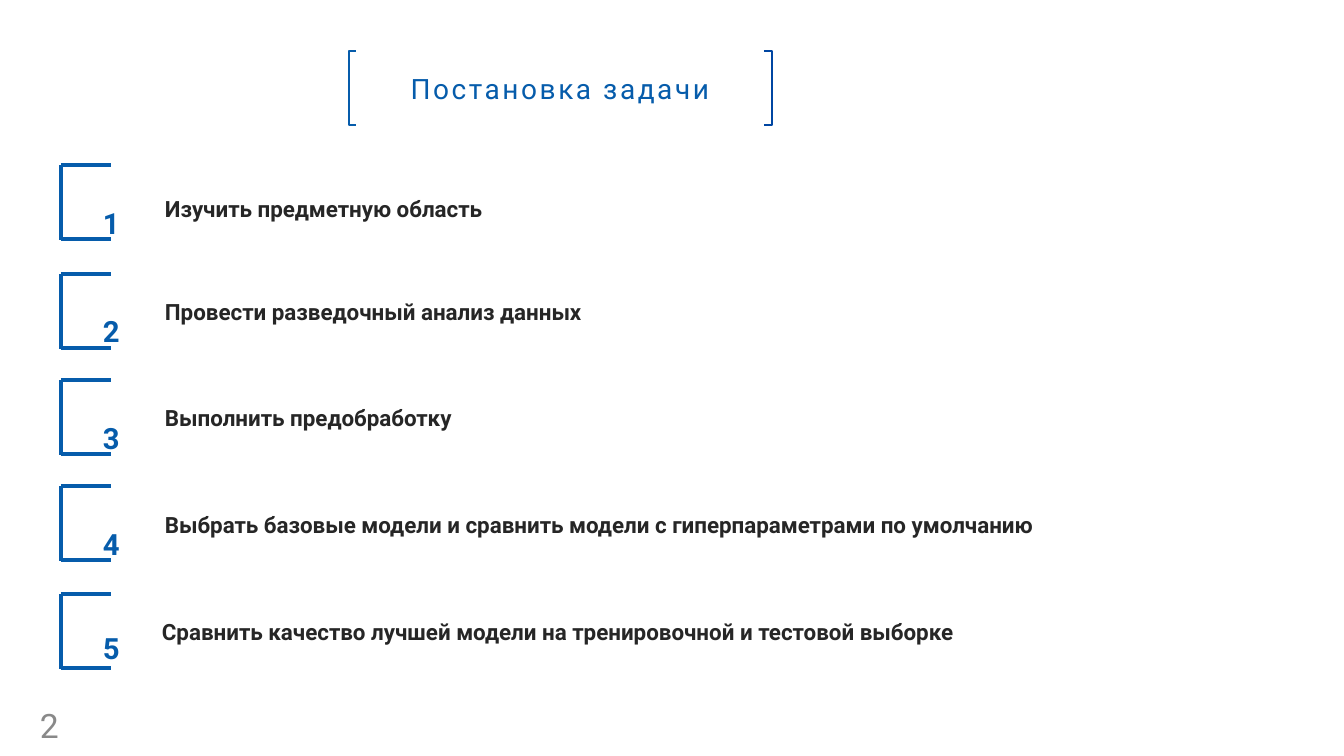
import pptx
import pptx.util
import pptx.dml.color
import pptx.enum.shapes
import pptx.enum.text
import pptx.oxml.ns
import lxml.etree

PX = 914400 / 100.8
BLUE, DARK_BLUE, INK, GREY, WHITE = "065CAB", "0046A2", "262626", "898989", "FFFFFF"
ANCHOR = pptx.enum.text.MSO_ANCHOR


def rgb(hex_color):
    return pptx.dml.color.RGBColor.from_string(hex_color)


def write(shape, text, box, size, color, bold=False, anchor=ANCHOR.TOP,
          align=pptx.enum.text.PP_ALIGN.LEFT, **run_attributes):
    shape.left, shape.top, shape.width, shape.height = (round(v * PX) for v in box)
    frame = shape.text_frame
    frame.word_wrap = True
    frame.auto_size = pptx.enum.text.MSO_AUTO_SIZE.NONE
    frame.vertical_anchor = anchor
    paragraph = frame.paragraphs[0]
    paragraph.alignment = align
    run = paragraph.add_run()
    run.text = text
    run.font.name = "Roboto"
    run.font.size = pptx.util.Pt(size)
    run.font.bold = bold
    run.font.color.rgb = rgb(color)
    for name, value in run_attributes.items():
        run.font._element.set(name, str(value))
    return run


deck = pptx.Presentation()
deck.slide_width, deck.slide_height = round(1344 * PX), round(756 * PX)
slide = deck.slides.add_slide(deck.slide_layouts[5])
shapes = slide.shapes

# Title with its thin text outline
title = shapes.title
title.fill.solid()
title.fill.fore_color.rgb = rgb(WHITE)
title.line.color.rgb = rgb(WHITE)
title.line.width = pptx.util.Pt(2)
heading = write(title, "Постановка задачи", (349, 51, 422, 74), 20, BLUE,
                anchor=ANCHOR.MIDDLE, align=pptx.enum.text.PP_ALIGN.CENTER, spc=180)
outline = pptx.oxml.parse_xml(
    f'<a:ln {pptx.oxml.ns.nsdecls("a")} w="9525"><a:solidFill>'
    f'<a:srgbClr val="{BLUE}"/></a:solidFill></a:ln>')
heading.font._element.insert(0, outline)

# Brackets around the title
for inner, outer, color in ((356, 349, BLUE), (764, 772, DARK_BLUE)):
    builder = shapes.build_freeform(inner, 51, scale=PX)
    builder.add_line_segments([(outer, 51), (outer, 125), (inner, 125)], close=False)
    title_bracket = builder.convert_to_shape()
    title_bracket.shadow.inherit = False
    title_bracket.fill.background()
    title_bracket.line.color.rgb = rgb(color)
    title_bracket.line.width = pptx.util.Pt(1.3)

# Numbered tasks: bracket top, number top, task left, task top, task width, wording
tasks = [
    (165, 194, 155, 190, 685, "Изучить предметную область"),
    (274, 302, 155, 293, 685, "Провести разведочный анализ данных"),
    (380, 409, 155, 399, 685, "Выполнить предобработку"),
    (486, 515, 155, 506, 1014, "Выбрать базовые модели и сравнить модели с гиперпараметрами по умолчанию"),
    (594, 619, 152, 613, 943, "Сравнить качество лучшей модели на тренировочной и тестовой выборке"),
]
for number, (top, number_top, left, task_top, width, wording) in enumerate(tasks, 1):
    bottom = top + 74
    for ends in ((61, top, 61, bottom + 1), (61, top, 111, top), (61, bottom, 111, bottom)):
        edge = shapes.add_connector(pptx.enum.shapes.MSO_CONNECTOR.STRAIGHT,
                                    *(round(v * PX) for v in ends))
        edge.line.color.rgb = rgb(BLUE)
        edge.line.width = pptx.util.Pt(2.25)
        lxml.etree.SubElement(edge._element.spPr, pptx.oxml.ns.qn("a:effectLst"))
    write(shapes.add_textbox(0, 0, 0, 0), wording, (left, task_top, width, 37), 16, INK, bold=True)
    write(shapes.add_textbox(0, 0, 0, 0), str(number), (93, number_top, 119, 50), 36, BLUE,
          bold=True, baseline=30000)

# Page number
write(shapes.add_textbox(0, 0, 0, 0), "2", (30, 710, 62, 30), 24, GREY, anchor=ANCHOR.MIDDLE)

deck.save("out.pptx")
